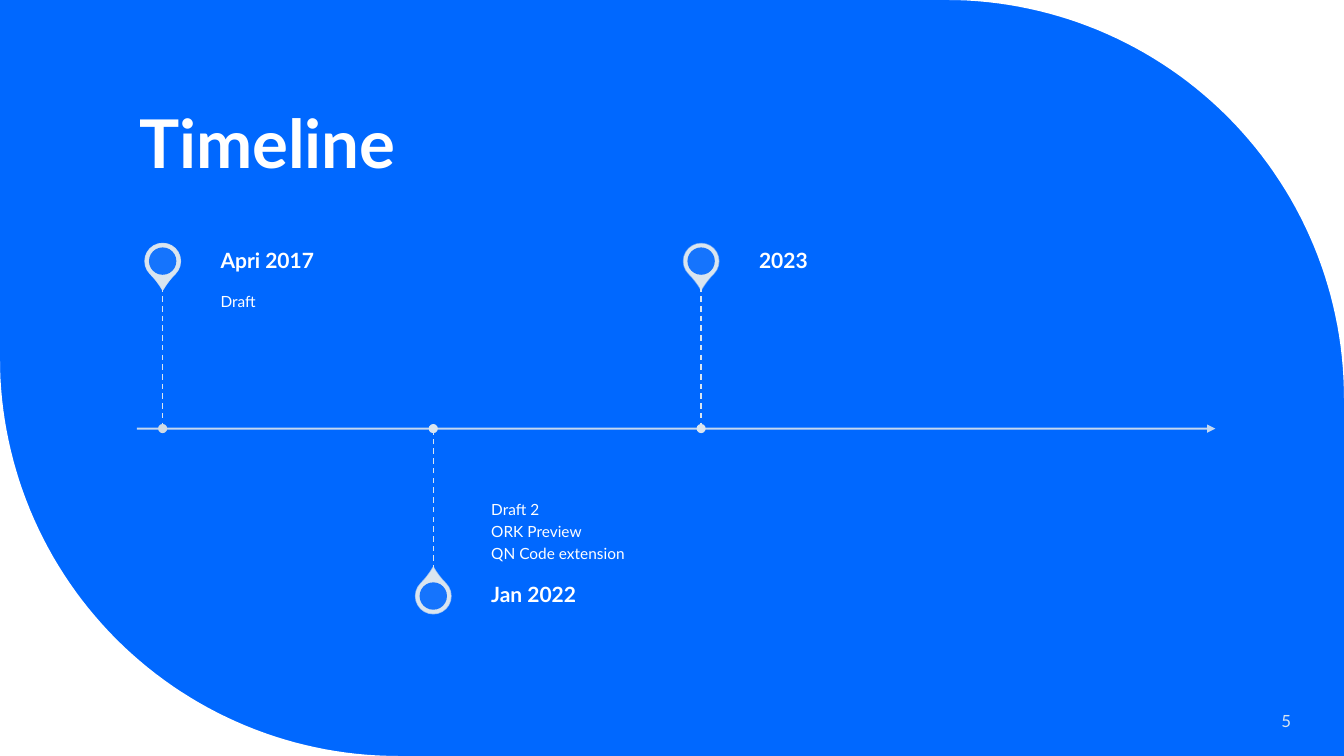
from math import cos, radians, sin

from lxml.etree import SubElement
from pptx import Presentation
from pptx.dml.color import RGBColor
from pptx.enum.dml import MSO_LINE as Dash
from pptx.enum.shapes import MSO_CONNECTOR as Connector, MSO_SHAPE as Preset
from pptx.enum.text import MSO_ANCHOR as Anchor, MSO_AUTO_SIZE as AutoSize, PP_ALIGN as Align
from pptx.oxml.ns import qn
from pptx.util import Cm, Pt

BLUE, WHITE, PALE, DOT_GREY = "0068FF", "FFFFFF", "DAE5EF", "D0DBE4"
PAGE_WIDTH, PAGE_HEIGHT = 33.87, 19.05
CORNER_RADIUS = 10.03

# Timeline measures in centimetres, counted from the axis
AXIS_Y = 10.8
PIN_OFFSET, STEM_LENGTH, HEADING_HEIGHT = 4.22, 3.58, 1.27
PIN_SIZE, HOLE_SIZE, DOT_SIZE = 0.89, 0.69, 0.23
LABEL_GAP, LABEL_WIDTH = 1.46, 9.64

# Centre, side of the axis (-1 above, 1 below), heading, details, pin line opacity, dot colour
MILESTONES = [
    (4.1, -1, "Apri 2017", ["Draft"], 90, DOT_GREY),
    (10.92, 1, "Jan 2022", ["Draft 2", "ORK Preview", "QN Code extension"], 70, PALE),
    (17.67, -1, "2023", [], 50, PALE),
]


def colour(value):
    return RGBColor.from_string(value)


def apply(target, values):
    for name, value in values.items():
        setattr(target, name, value)


def paint(fill, value, opacity=100):
    fill.solid()
    fill.fore_color.rgb = colour(value)
    if opacity < 100:
        choice = fill._xPr.find(qn("a:solidFill"))[0]
        SubElement(choice, qn("a:alpha"), val=str(opacity * 1000))


def write(box, lines, size, frame_format, para_format, bold=False, tint=WHITE):
    frame = box.text_frame
    apply(frame, {"word_wrap": True, "auto_size": AutoSize.NONE, **frame_format})
    for index, line in enumerate(lines):
        para = frame.paragraphs[0] if index == 0 else frame.add_paragraph()
        apply(para, para_format)
        span = para.add_run()
        span.text = line
        apply(span.font, {"name": "Lato", "size": Pt(size), "bold": bold})
        span.font.color.rgb = colour(tint)


def add_text(page, left, top, width, height, *content, **style):
    box = page.shapes.add_textbox(Cm(left), Cm(top), Cm(width), Cm(height))
    write(box, *content, **style)


def add_centred(page, preset, x, y, size, fill, opacity=100):
    shape = page.shapes.add_shape(
        preset, Cm(x - size / 2), Cm(y - size / 2), Cm(size), Cm(size))
    shape.shadow.inherit = False
    paint(shape.fill, fill, opacity)
    shape.line.fill.background()
    return shape


def add_line(page, start, end, width, opacity=100, dash=Dash.SOLID):
    line = page.shapes.add_connector(Connector.STRAIGHT, *map(Cm, start + end))
    apply(line.line, {"width": Pt(width), "dash_style": dash})
    paint(line.line.fill, PALE, opacity)
    SubElement(line._element.spPr, qn("a:effectLst"))
    return line


def add_corner(page, corner, centre, first_angle):
    """Fill the area between a page corner and its quarter circle."""
    angles = [radians(first_angle + step * 1.5) for step in range(61)]
    arc = [(Cm(centre[0] + CORNER_RADIUS * cos(a)),
            Cm(centre[1] + CORNER_RADIUS * sin(a))) for a in angles]
    builder = page.shapes.build_freeform(Cm(corner[0]), Cm(corner[1]))
    builder.add_line_segments(arc, close=True)
    shape = builder.convert_to_shape()
    shape.shadow.inherit = False
    paint(shape.fill, WHITE)
    shape.line.fill.background()


def add_title(page, text):
    title = page.shapes.title
    apply(title, {"left": Cm(3.25), "top": Cm(1.07), "width": Cm(27.15), "height": Cm(3.68)})
    write(title, [text], 48, {"vertical_anchor": Anchor.BOTTOM},
          {"alignment": Align.LEFT, "line_spacing": 0.9}, bold=True)


def add_axis(page):
    axis = add_line(page, (3.45, AXIS_Y), (30.63, AXIS_Y), 1.5, 90)
    SubElement(axis.line._get_or_add_ln(), qn("a:tailEnd"), type="triangle")


def add_milestone(page, x, side, heading, details, opacity, dot_colour):
    # Pin
    pin_y = AXIS_Y + side * PIN_OFFSET
    pin = add_centred(page, Preset.TEAR, x, pin_y, PIN_SIZE, PALE)
    pin.adjustments[0] = 1.15
    pin.rotation = 135 if side < 0 else 315
    pin.line.width = Pt(1)
    paint(pin.line.fill, PALE, opacity)
    add_centred(page, Preset.OVAL, x, pin_y, HOLE_SIZE, BLUE, 90)

    # Labels
    left = x + LABEL_GAP
    above = side < 0
    if details:
        add_text(page, left, AXIS_Y - STEM_LENGTH if above else AXIS_Y,
                 LABEL_WIDTH, STEM_LENGTH, details, 11,
                 {"margin_left": 0, "margin_top": Cm(0.2), "margin_bottom": Cm(0.2),
                  "vertical_anchor": Anchor.TOP if above else Anchor.BOTTOM},
                 {"line_spacing": 0.9, "space_after": Pt(3.85)})
    stem_end = AXIS_Y + side * STEM_LENGTH
    add_text(page, left, stem_end - HEADING_HEIGHT if above else stem_end,
             LABEL_WIDTH, HEADING_HEIGHT, [heading], 15,
             {"margin_left": 0, "margin_top": 0, "margin_bottom": 0,
              "vertical_anchor": Anchor.MIDDLE},
             {"line_spacing": 0.9}, bold=True)

    # Stem and dot
    add_line(page, (x, stem_end), (x, AXIS_Y), 1, dash=Dash.DASH)
    add_centred(page, Preset.OVAL, x, AXIS_Y, DOT_SIZE, dot_colour)


def main():
    deck = Presentation()
    apply(deck, {"slide_width": Cm(PAGE_WIDTH), "slide_height": Cm(PAGE_HEIGHT)})
    page = deck.slides.add_slide(deck.slide_layouts[5])
    paint(page.background.fill, BLUE)

    # White corners
    add_corner(page, (PAGE_WIDTH, 0), (PAGE_WIDTH - CORNER_RADIUS, CORNER_RADIUS), 270)
    add_corner(page, (0, PAGE_HEIGHT), (CORNER_RADIUS, PAGE_HEIGHT - CORNER_RADIUS), 90)

    # Content
    add_title(page, "Timeline")
    add_axis(page)
    for milestone in MILESTONES:
        add_milestone(page, *milestone)

    # Page number
    add_text(page, 28.19, 17.65, 4.6, 1.02, ["5"], 12,
             {"vertical_anchor": Anchor.MIDDLE}, {"alignment": Align.RIGHT}, tint=PALE)
    deck.save("out.pptx")


if __name__ == "__main__":
    main()
